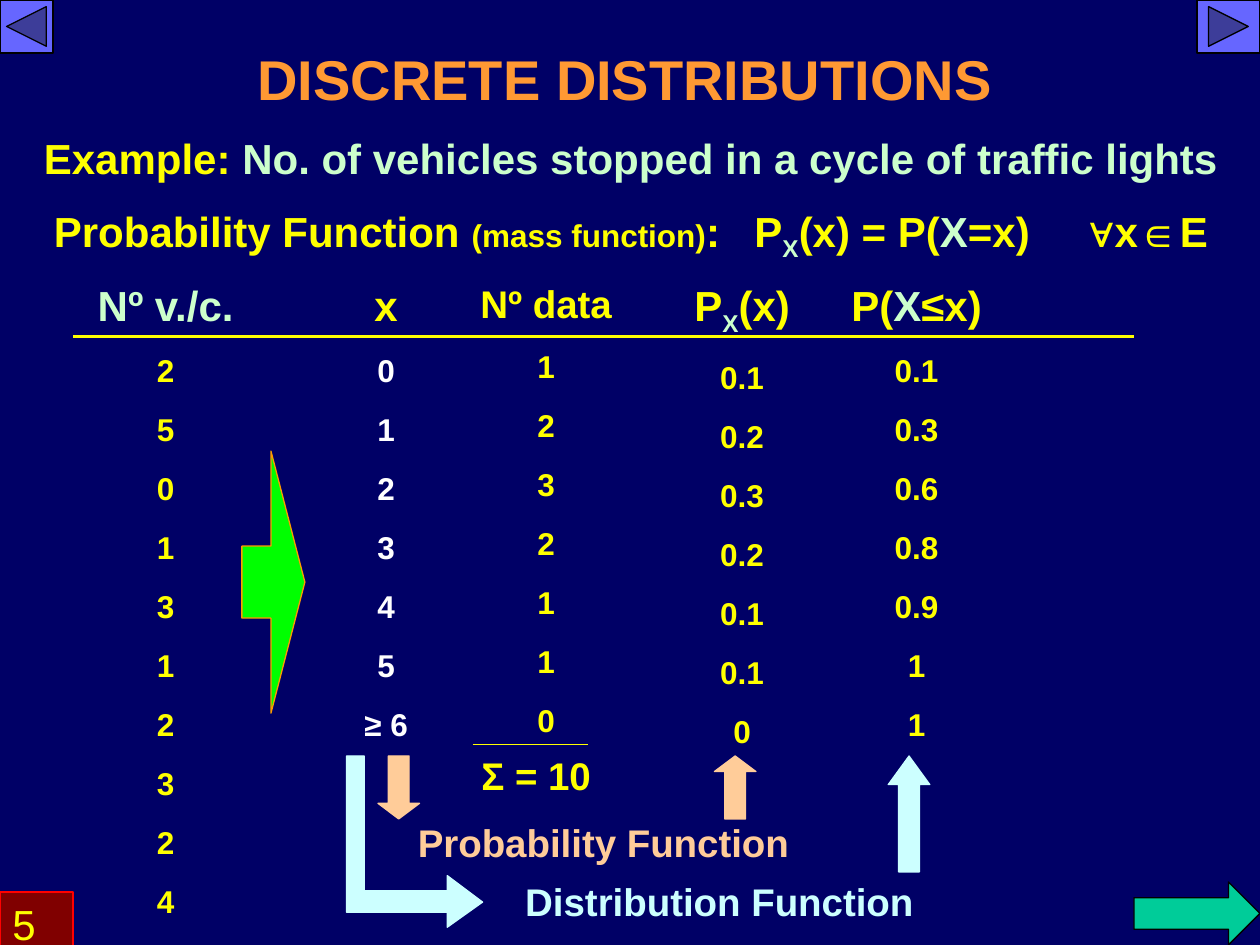
from dataclasses import dataclass

from lxml import etree
from pptx import Presentation
from pptx import util as u
from pptx.dml.color import RGBColor
from pptx.enum import shapes, text
from pptx.oxml.ns import qn

Inches, Pt = u.Inches, u.Pt
Shape, Align = shapes.MSO_SHAPE, text.PP_ALIGN


@dataclass(frozen=True)
class Theme:
    font: str = "Arial"
    # Colours
    background: str = "000066"
    title: str = "FF9933"
    main: str = "FFFF00"
    accent: str = "CCFFCC"
    value: str = "FFFFFF"
    peach: str = "FFCC99"
    ice: str = "CCFFFF"
    button: str = "6666FF"
    black: str = "000000"
    green: str = "00FF00"
    orange: str = "FF9900"
    teal: str = "00CC99"
    maroon: str = "800000"
    red: str = "FF0000"
    # Type sizes and spacing in points
    title_size: int = 32
    large: int = 24
    label: int = 22
    small: int = 18
    row_gap: float = 12.1


@dataclass(frozen=True)
class Span:
    """A stretch of text in one style."""
    words: str
    color: str = Theme.main
    size: int = Theme.large
    bold: bool = True
    subscript: bool = False


class SlideBuilder:
    def __init__(self, slide, theme):
        self.slide, self.theme = slide, theme
        slide.background.fill.solid()
        slide.background.fill.fore_color.rgb = RGBColor.from_string(theme.background)

    def fill_paragraph(self, paragraph, spans, align, gap=0):
        paragraph.alignment = align
        paragraph.space_before = Pt(gap)
        for span in spans:
            run = paragraph.add_run()
            run.text = span.words
            font = run.font
            font.name, font.size, font.bold = self.theme.font, Pt(span.size), span.bold
            font.color.rgb = RGBColor.from_string(span.color)
            if span.subscript:
                run._r.get_or_add_rPr().set("baseline", "-25000")

    def text(self, box, *lines, align=Align.CENTER, anchor=text.MSO_ANCHOR.TOP, tabs=()):
        """Each line is a list of spans; tabs are stops in inches."""
        frame = self.slide.shapes.add_textbox(*map(Inches, box)).text_frame
        frame.word_wrap = True
        frame.vertical_anchor = anchor
        for index, spans in enumerate(lines):
            paragraph = frame.add_paragraph() if index else frame.paragraphs[0]
            self.fill_paragraph(paragraph, spans, align, self.theme.row_gap if index else 0)
        if tabs:
            stops = etree.SubElement(frame.paragraphs[0]._p.get_or_add_pPr(), qn("a:tabLst"))
            for stop in tabs:
                etree.SubElement(stops, qn("a:tab"), pos=str(Inches(stop)), algn="l")

    def column(self, box, heading, values, color=Theme.main):
        rows = [[Span(value, color, self.theme.small)] for value in values]
        self.text(box, heading, *rows)

    def paint(self, shape, fill, line):
        shape.shadow.inherit = False
        shape.fill.solid()
        shape.fill.fore_color.rgb = RGBColor.from_string(fill)
        shape.line.color.rgb = RGBColor.from_string(line)
        shape.line.width = Pt(0.75)
        return shape

    def shape(self, kind, box, fill, line, adjustments=()):
        shape = self.slide.shapes.add_shape(kind, *map(Inches, box))
        for index, value in enumerate(adjustments):
            shape.adjustments[index] = value
        return self.paint(shape, fill, line)

    def outline(self, points, color):
        start, *rest = [(Inches(x), Inches(y)) for x, y in points]
        builder = self.slide.shapes.build_freeform(*start, scale=1.0)
        builder.add_line_segments(rest, close=True)
        self.paint(builder.convert_to_shape(), color, color)

    def rule(self, left, right, y, width):
        line = self.slide.shapes.add_connector(
            shapes.MSO_CONNECTOR.STRAIGHT, Inches(left), Inches(y), Inches(right), Inches(y))
        line.line.color.rgb = RGBColor.from_string(self.theme.main)
        line.line.width = Pt(width)
        etree.SubElement(line._element.spPr, qn("a:effectLst"))


def main():
    theme = Theme()
    deck = Presentation()
    deck.slide_width, deck.slide_height = Inches(10), Inches(7.5)
    page = SlideBuilder(deck.slides.add_slide(deck.slide_layouts[6]), theme)

    # Title and navigation buttons
    page.text((1.25, 0.33, 7.42, 0.58),
              [Span("DISCRETE DISTRIBUTIONS", theme.title, theme.title_size)],
              anchor=text.MSO_ANCHOR.MIDDLE)
    page.shape(Shape.ACTION_BUTTON_FORWARD_OR_NEXT, (9.5, 0, 0.5, 0.42),
               theme.button, theme.black)
    page.shape(Shape.ACTION_BUTTON_BACK_OR_PREVIOUS, (0, 0, 0.42, 0.42),
               theme.button, theme.black)

    # Example and definition
    page.text((0.25, 1, 9.75, 0.5),
              [Span("Example: "),
               Span("No. of vehicles stopped in a cycle of traffic lights", theme.accent)],
              align=Align.LEFT)
    page.text((0.33, 1.58, 9.67, 0.56),
              [Span("Probability Function "), Span("(mass function)", size=theme.small),
               Span(":\tP"), Span("X", theme.accent, subscript=True), Span("(x) = P("),
               Span("X", theme.accent), Span("=x)\t∀x∈E")],
              align=Align.LEFT, tabs=(5.56, 8.22))

    # Columns of observations, frequencies and probabilities
    page.column((0.5, 2.17, 1.63, 5.07), [Span("Nº v./c.", theme.accent)], "2501312324")
    page.column((2.5, 2.17, 1.13, 3.7), [Span("x")], [*"012345", "≥ 6"], theme.value)
    page.column((3.5, 2.17, 1.67, 3.66), [Span("Nº data", size=theme.label)], "1232110")
    page.column((5.08, 2.17, 1.62, 3.75),
                [Span("P"), Span("X", theme.accent, subscript=True), Span("(x)")],
                ["0.1", "0.2", "0.3", "0.2", "0.1", "0.1", "0"])
    page.column((6.46, 2.17, 1.63, 3.7),
                [Span("P("), Span("X", theme.accent), Span("≤x)")],
                ["0.1", "0.3", "0.6", "0.8", "0.9", "1", "1"])
    page.rule(0.58, 9, 2.67, 1.5)

    # Total of the data
    page.text((3.42, 5.92, 1.67, 0.47), [Span("Σ = 10", size=theme.label)])
    page.rule(3.75, 4.67, 5.91, 0.75)

    # From observations to table
    page.shape(Shape.RIGHT_ARROW, (1.92, 3.58, 0.5, 2.08),
               theme.green, theme.orange, (0.275, 0.538))

    # Probability function
    page.text((2.83, 6.45, 3.92, 0.47),
              [Span("Probability Function", theme.peach, theme.label)])
    for kind, left in ((Shape.DOWN_ARROW, 3), (Shape.UP_ARROW, 5.67)):
        page.shape(kind, (left, 6, 0.33, 0.5), theme.peach, theme.peach, (0.5, 0.375))

    # Distribution function
    page.text((3.75, 6.92, 3.92, 0.47),
              [Span("Distribution Function", theme.ice, theme.label)])
    page.outline([(3.83, 7.16), (3.55, 6.95), (3.55, 7.07), (2.89, 7.07), (2.89, 6),
                  (2.75, 6), (2.75, 7.24), (3.55, 7.24), (3.55, 7.36)], theme.ice)
    page.shape(Shape.UP_ARROW, (7.05, 6, 0.33, 0.92), theme.ice, theme.ice, (0.5, 0.688))

    # Slide number and next arrow
    number = page.shape(Shape.RECTANGLE, (0, 7.08, 0.58, 0.5), theme.maroon, theme.red)
    number.text_frame.vertical_anchor = text.MSO_ANCHOR.TOP
    page.fill_paragraph(number.text_frame.paragraphs[0], [Span("5", bold=False)], Align.LEFT)
    page.shape(Shape.RIGHT_ARROW, (9, 7, 1, 0.5), theme.teal, theme.black)

    deck.save("out.pptx")


if __name__ == "__main__":
    main()
